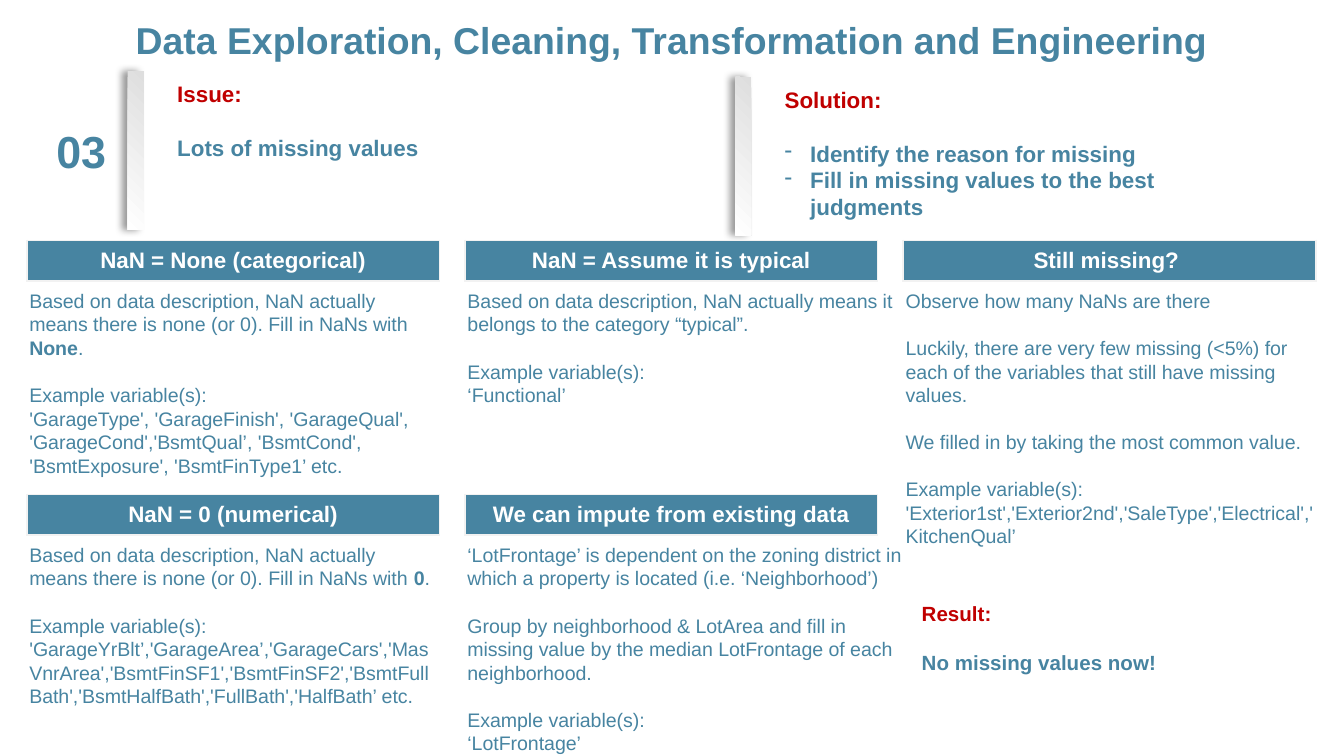
from lxml.etree import SubElement
from pptx import Presentation
from pptx.dml.color import RGBColor
from pptx.enum.shapes import MSO_SHAPE
from pptx.enum.text import MSO_ANCHOR, MSO_AUTO_SIZE, PP_ALIGN
from pptx.oxml import parse_xml
from pptx.oxml.ns import nsdecls, qn
from pptx.util import Inches, Pt

BLUE, RED, WHITE, PALE, GREY = "4784A1", "C00000", "FFFFFF", "F2F2F2", "DEDEDE"
FONT = "Arial"
LINE_RATIO = 1.2  # line height as a share of the font size

# Slide and card grid, in inches
SLIDE_WIDTH = 10
SLIDE_HEIGHT = SLIDE_WIDTH * 9 / 16
LEFT, TOP = 0.2, 1.79
COL_STEP, ROW_STEP = 3.26, 1.89
CARD_WIDTH, HEADER_HEIGHT = 3.07, 0.3

# Column, row, heading, body width and blocks of lines; ** marks bold
CARDS = [
    (0, 0, "NaN = None (categorical)", 3.15, [
        ["Based on data description, NaN actually means there is none (or 0). "
         "Fill in NaNs with **None**."],
        ["Example variable(s):",
         "'GarageType', 'GarageFinish', 'GarageQual', 'GarageCond','BsmtQual’, "
         "'BsmtCond', 'BsmtExposure', 'BsmtFinType1’ etc."]]),
    (1, 0, "NaN = Assume it is typical", 3.39, [
        ["Based on data description, NaN actually means it belongs to the "
         "category “typical”."],
        ["Example variable(s):", "‘Functional’"]]),
    (0, 1, "NaN = 0 (numerical)", 3.23, [
        ["Based on data description, NaN actually means there is none (or 0). "
         "Fill in NaNs with **0**."],
        ["Example variable(s):",
         "'GarageYrBlt’,'GarageArea’,'GarageCars','MasVnrArea','BsmtFinSF1',"
         "'BsmtFinSF2','BsmtFullBath','BsmtHalfBath','FullBath','HalfBath’ etc."]]),
    (1, 1, "We can impute from existing data", 3.46, [
        ["‘LotFrontage’ is dependent on the zoning district in which a property "
         "is located (i.e. ‘Neighborhood’)"],
        ["Group by neighborhood & LotArea and fill in missing value by the median "
         "LotFrontage of each neighborhood."],
        ["Example variable(s):", "‘LotFrontage’"]]),
    (2, 0, "Still missing? ", 3.32, [
        ["Observe how many NaNs are there"],
        ["Luckily, there are very few missing (<5%) for each of the variables "
         "that still have missing values."],
        ["We filled in by taking the most common value."],
        ["Example variable(s):",
         "'Exterior1st','Exterior2nd','SaleType','Electrical','KitchenQual’"]]),
]


def rgb(color):
    return RGBColor.from_string(color)


def format_run(run, size, color, bold=False):
    run.font.name = FONT
    run.font.size = Pt(size)
    run.font.bold = bold
    run.font.color.rgb = rgb(color)


def format_paragraph(paragraph, size, color, bold=False, align=None):
    paragraph.alignment = align
    for run in paragraph.runs:
        format_run(run, size, color, bold)


def add_text_frame(slide, left, top, width, height):
    frame = slide.shapes.add_textbox(
        Inches(left), Inches(top), Inches(width), Inches(height)).text_frame
    frame.word_wrap = True
    return frame


def fill_blocks(frame, blocks, size, color, bold=False):
    """Write blocks of lines, one line height apart."""
    line_height = Pt(round(size * LINE_RATIO, 1))
    paragraph = None
    for block in blocks:
        for index, line in enumerate(block):
            is_first = paragraph is None
            paragraph = frame.paragraphs[0] if is_first else frame.add_paragraph()
            paragraph.line_spacing = line_height
            if index == 0 and not is_first:
                paragraph.space_before = line_height
            for part, words in enumerate(line.split("**")):
                run = paragraph.add_run()
                run.text = words
                format_run(run, size, color, bold or part % 2 == 1)


def add_dash(paragraph):
    properties = paragraph._p.get_or_add_pPr()
    properties.set("marL", str(Inches(0.19)))
    properties.set("indent", str(-Inches(0.19)))
    SubElement(properties, qn("a:buFontTx"))
    SubElement(properties, qn("a:buChar"), char="-")


def add_callout(slide, left, top, width, height, label, lines, size):
    """Red label with blue bold lines below it."""
    frame = add_text_frame(slide, left, top, width, height)
    fill_blocks(frame, [[label], lines], size, BLUE, bold=True)
    format_paragraph(frame.paragraphs[0], size, RED, bold=True)
    return frame


def add_divider(slide, left, top):
    bar = slide.shapes.add_shape(
        MSO_SHAPE.RECTANGLE, Inches(left), Inches(top), Inches(0.12), Inches(1.18))
    bar.line.fill.background()
    bar.fill.gradient()
    bar.fill.gradient_angle = 225
    for stop, color, position in zip(bar.fill.gradient_stops, (GREY, WHITE), (0, 1)):
        stop.color.rgb = rgb(color)
        stop.position = position
    # Soft shadow to the left
    bar.shadow.inherit = False
    bar._element.spPr.find(qn("a:effectLst")).append(parse_xml(
        f'<a:outerShdw {nsdecls("a")} blurRad="{Pt(4)}" dist="{Pt(3)}" '
        'dir="10800000" algn="r" rotWithShape="0"><a:srgbClr val="000000">'
        '<a:alpha val="40000"/></a:srgbClr></a:outerShdw>'))


def add_header(slide, left, top, heading):
    table = slide.shapes.add_table(
        1, 1, Inches(left), Inches(top), Inches(CARD_WIDTH), Inches(HEADER_HEIGHT)).table
    table.first_row = table.horz_banding = False
    cell = table.cell(0, 0)
    cell.fill.solid()
    cell.fill.fore_color.rgb = rgb(BLUE)
    cell.vertical_anchor = MSO_ANCHOR.MIDDLE
    cell.text_frame.text = heading
    format_paragraph(cell.text_frame.paragraphs[0], 12, WHITE, True, PP_ALIGN.CENTER)
    # Pale border on all four sides
    for index, side in enumerate(("lnL", "lnR", "lnT", "lnB")):
        cell._tc.get_or_add_tcPr().insert(index, parse_xml(
            f'<a:{side} {nsdecls("a")} w="{Pt(1)}"><a:solidFill>'
            f'<a:srgbClr val="{PALE}"/></a:solidFill></a:{side}>'))


def add_card(slide, column, row, heading, body_width, blocks):
    left, top = LEFT + column * COL_STEP, TOP + row * ROW_STEP
    add_header(slide, left, top, heading)
    # Body as tall as its lines, with the gaps between blocks
    body = add_text_frame(slide, left - 0.08, top + 0.31, body_width, 1.5)
    fill_blocks(body, blocks, 10.5, BLUE)


def set_title(slide, text):
    title = slide.shapes.title
    title.left, title.top = 0, Inches(-0.02)
    title.width, title.height = Inches(SLIDE_WIDTH), Inches(0.63)
    frame = title.text_frame
    frame.text = text
    frame.auto_size = MSO_AUTO_SIZE.NONE
    frame.vertical_anchor = MSO_ANCHOR.MIDDLE
    format_paragraph(frame.paragraphs[0], 20, BLUE, True, PP_ALIGN.CENTER)


def main():
    deck = Presentation()
    deck.slide_width, deck.slide_height = Inches(SLIDE_WIDTH), Inches(SLIDE_HEIGHT)
    slide = deck.slides.add_slide(deck.slide_layouts[5])
    set_title(slide, "Data Exploration, Cleaning, Transformation and Engineering")

    # Step number
    number = add_text_frame(slide, 0.27, 0.87, 0.67, 0.5)
    number.vertical_anchor = MSO_ANCHOR.MIDDLE
    number.text = "03"
    format_paragraph(number.paragraphs[0], 24, BLUE, True, PP_ALIGN.CENTER)

    # Issue and solution
    add_divider(slide, 0.95, 0.53)
    add_callout(slide, 1.22, 0.55, 3.78, 0.71, "Issue:", ["Lots of missing values"], 12)
    add_divider(slide, 5.47, 0.57)
    solution = add_callout(
        slide, 5.74, 0.59, 2.96, 1.31, "Solution:",
        ["Identify the reason for missing",
         "Fill in missing values to the best judgments"], 12)
    for step in solution.paragraphs[1:]:
        add_dash(step)

    # Ways of filling the gaps
    for card in CARDS:
        add_card(slide, *card)

    # Result
    add_callout(slide, 6.76, 4.42, 3.46, 0.66, "Result:", ["No missing values now!"], 11)
    deck.save("out.pptx")


if __name__ == "__main__":
    main()
